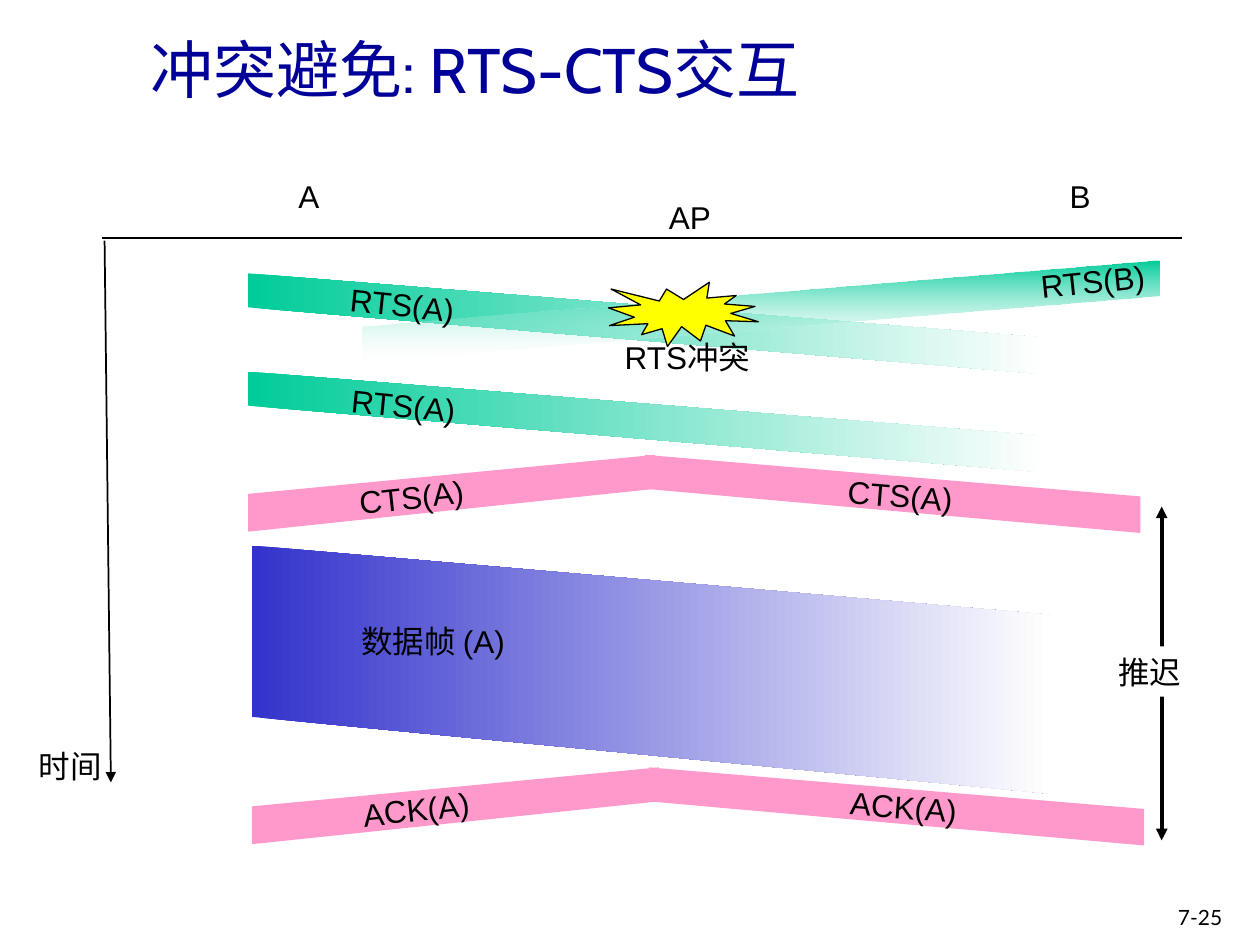
from lxml.etree import SubElement
from pptx import Presentation
from pptx.dml.color import RGBColor
from pptx.enum.shapes import MSO_CONNECTOR, MSO_SHAPE
from pptx.enum.text import MSO_ANCHOR, MSO_AUTO_SIZE
from pptx.oxml.ns import qn
from pptx.util import Inches, Pt

THEME = {
    "title": "000099", "ink": "000000", "paper": "FFFFFF", "rts": "00CC99",
    "reply": "FF99CC", "data": "3333CC", "seal": "FFFF00",
    "head": 36, "body": 18, "foot": 12,
    "cjk": "Noto Sans CJK SC", "sans": "Arial", "show": "Cabin", "num": "Lato",
}

TITLE = ["冲突避免", ": RTS-CTS", "交互"]
PAGE = ["7-25"]

# Each fade: left x, top y, right x, top y, left height, right height, colour, angle, end alpha
FADES = [
    (1.97, 2.17, 8.29, 2.68, 0.27, 0.29, "rts", 0, 100),
    (2.88, 2.59, 9.2, 2.07, 0.28, 0.28, "rts", 90, 6),
    (1.97, 2.95, 8.29, 3.46, 0.27, 0.29, "rts", 0, 100),
    (2, 4.33, 8.34, 4.88, 1.36, 1.42, "data", 0, 100),
]
REPLIES = [(1.97, 3.61), (2, 6.09)]
ARMS = [(3.15, 0, 7.08, 0.33, 0.27, 0.29), (0, 0.31, 3.23, 0, 0.3, 0.27)]

LABELS = [
    (["AP"], 5.21, 1.52, 0.54, 0),
    (["A"], 2.27, 1.36, 0.38, 0),
    (["B"], 8.39, 1.36, 0.37, 0),
    (["时间"], 0.21, 5.88, 0.71, 0),
    (["RTS(A)"], 2.68, 2.22, 1.07, 5.9),
    (["RTS(B)"], 8.16, 2.03, 1.04, 354.1),
    (["RTS(A)"], 2.69, 3.02, 1.07, 5.9),
    (["CTS(A)"], 2.75, 3.74, 1.06, 353.7),
    (["CTS(A)"], 6.63, 3.73, 1.06, 4.6),
    (["数据帧", " (A)"], 2.77, 4.89, 1.97, 0),
    (["ACK(A)"], 2.78, 6.22, 1.05, 353.7),
    (["ACK(A)"], 6.65, 6.2, 1.05, 4.6),
    (["RTS", "冲突"], 4.86, 2.63, 3.09, 0),
]
LINES = [
    (0.83, 1.91, 0.88, 6.21, 1, ["tailEnd"]),
    (0.81, 1.89, 9.38, 1.89, 0.75, []),
    (9.22, 4.02, 9.22, 6.67, 2.25, ["headEnd", "tailEnd"]),
]


def tint(name):
    """Return a theme colour."""
    return RGBColor.from_string(THEME[name])


def write(shape, runs, face="sans", size="body", ink="ink", wrap=False, grow=True):
    """Fill a shape with one paragraph of runs."""
    frame = shape.text_frame
    frame.word_wrap = wrap
    frame.auto_size = MSO_AUTO_SIZE.SHAPE_TO_FIT_TEXT if grow else MSO_AUTO_SIZE.NONE
    for text in runs:
        run = frame.paragraphs[0].add_run()
        run.text = text
        font = run.font
        font.size, font.name = Pt(THEME[size]), THEME[face]
        font.color.rgb = tint(ink)
        SubElement(run._r.get_or_add_rPr(), qn("a:ea"), typeface=THEME["cjk"])
    return frame


def box(slide, x, y, wide, high):
    """Add an empty text box."""
    return slide.shapes.add_textbox(*map(Inches, (x, y, wide, high)))


def band(slide, x1, y1, x2, y2, h1, h2):
    """Add a slanted band with upright ends."""
    spots = [(x1, y1), (x2, y2), (x2, y2 + h2), (x1, y1 + h1)]
    spots = [(Inches(x), Inches(y)) for x, y in spots]
    pen = slide.shapes.build_freeform(*spots[0], scale=1.0)
    pen.add_line_segments(spots[1:], close=True)
    shape = pen.convert_to_shape()
    shape.shadow.inherit = False
    shape.line.fill.background()
    return shape


def fade(shape, name, angle, alpha):
    """Shade a shape from a colour to white."""
    fill = shape.fill
    fill.gradient()
    fill.gradient_angle = -angle % 360
    for stop, spot, key in zip(fill.gradient_stops, (0, 1), (name, "paper")):
        stop.position, stop.color.rgb = spot, tint(key)
    if alpha < 100:
        white = list(shape._element.spPr.iter(qn("a:srgbClr")))[-1]
        SubElement(white, qn("a:alpha"), val=str(alpha * 1000))


def solid(shape, name):
    """Paint a shape in one colour."""
    shape.fill.solid()
    shape.fill.fore_color.rgb = tint(name)


def rule(slide, x1, y1, x2, y2, width, ends):
    """Add a straight line with optional arrowheads."""
    line = slide.shapes.add_connector(
        MSO_CONNECTOR.STRAIGHT, *map(Inches, (x1, y1, x2, y2)))
    line.line.width = Pt(width)
    line.line.color.rgb = tint("ink")
    for end in ends:
        SubElement(line.line._get_or_add_ln(), qn("a:" + end), type="triangle")
    SubElement(line._element.spPr, qn("a:effectLst"))


def plate(slide, kind, x, y, wide, high, name):
    """Add a plain preset shape."""
    shape = slide.shapes.add_shape(kind, *map(Inches, (x, y, wide, high)))
    shape.shadow.inherit = False
    solid(shape, name)
    return shape


def main():
    """Build the RTS-CTS exchange slide."""
    deck = Presentation()
    deck.slide_width, deck.slide_height = Inches(10), Inches(7.5)
    slide = deck.slides.add_slide(deck.slide_layouts[6])

    head = write(box(slide, 1.1, 0.03, 8.5, 1.03), TITLE, "show", "head", "title", True, False)
    head.vertical_anchor = MSO_ANCHOR.MIDDLE

    for *area, name, angle, alpha in FADES:
        fade(band(slide, *area), name, angle, alpha)
    for left, top in REPLIES:
        for x1, y1, x2, y2, h1, h2 in ARMS:
            arm = band(slide, left + x1, top + y1, left + x2, top + y2, h1, h2)
            solid(arm, "reply")
    for item in LINES:
        rule(slide, *item)

    seal = plate(slide, MSO_SHAPE.EXPLOSION1, 4.83, 2.24, 1.19, 0.51, "seal")
    seal.line.color.rgb = tint("ink")
    seal.line.width = Pt(0.75)
    wait = plate(slide, MSO_SHAPE.RECTANGLE, 8.77, 5.13, 0.71, 0.4, "paper")
    wait.line.fill.background()
    write(wait, ["推迟"], "cjk")

    for runs, x, y, wide, turn in LABELS:
        label = box(slide, x, y, wide, 0.4)
        label.rotation = turn
        write(label, runs, wrap=wide > 1.5)
    write(box(slide, 9.25, 7.13, 0.75, 0.3), PAGE, "num", "foot", wrap=True, grow=False)
    deck.save("out.pptx")


if __name__ == "__main__":
    main()
